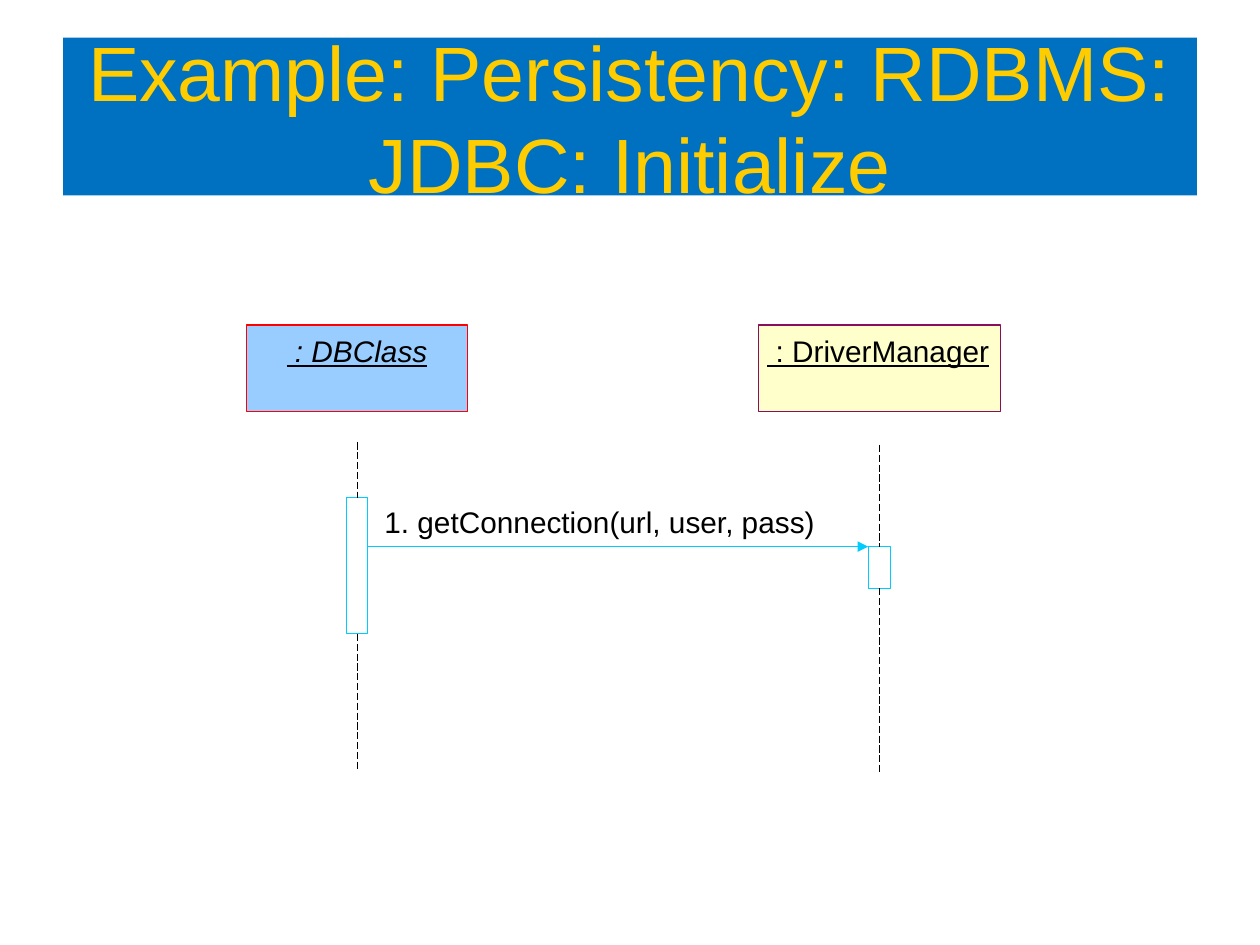
import pptx
import pptx.util
import pptx.dml.color
import pptx.enum.dml
import pptx.enum.shapes
import pptx.enum.text
import pptx.oxml.ns
from lxml import etree

Cm = pptx.util.Cm
Pt = pptx.util.Pt

# Content: participants of the sequence diagram, lengths in cm
TITLE = "Example: Persistency: RDBMS: JDBC: Initialize"
PARTICIPANTS = [
    {"label": " : DBClass", "center": 7.2, "width": 4.45, "label_width": 2.84,
     "fill": "99CCFF", "border": "FF0000", "font": {"italic": True, "underline": True},
     "life": (8.92, 15.54), "bar": (10.03, 2.75, 0.42)},
    {"label": " : DriverManager", "center": 17.73, "width": 4.88, "label_width": 4.52,
     "fill": "FFFFCC", "border": "8A0E5E", "font": {"underline": True},
     "life": (8.97, 15.62), "bar": (11.02, 0.84, 0.46)},
]
MESSAGE = {"text": "1. getConnection(url, user, pass)", "left": 7.75, "top": 10.16,
           "width": 8.71, "y": 11.02}
HEADER_TOP, HEADER_HEIGHT = 6.55, 1.75
LABEL_TOP, LABEL_HEIGHT = 6.71, 0.71

THEME = {
    "font": "Arial", "title_size": 44, "label_size": 17, "line_width": 0.5,
    "title_fill": "0070C0", "title_text": "FFCC00", "text": "000000",
    "lifeline": "000000", "accent": "00CCFF",
}


def rgb(value):
    return pptx.dml.color.RGBColor.from_string(value)


def format_font(font, size, color, **values):
    font.color.rgb = rgb(color)
    for name, value in {"name": THEME["font"], "size": Pt(size), **values}.items():
        setattr(font, name, value)


def add_rectangle(slide, left, top, width, height, border, line_width, fill=None):
    shape = slide.shapes.add_shape(pptx.enum.shapes.MSO_SHAPE.RECTANGLE,
                                   Cm(left), Cm(top), Cm(width), Cm(height))
    shape.shadow.inherit = False
    if fill:
        shape.fill.solid()
        shape.fill.fore_color.rgb = rgb(fill)
    else:
        shape.fill.background()
    shape.line.color.rgb = rgb(border)
    shape.line.width = Pt(line_width)
    return shape


def add_label(slide, text, left, top, width, **font_values):
    box = slide.shapes.add_textbox(Cm(left), Cm(top), Cm(width), Cm(LABEL_HEIGHT))
    frame_values = {"margin_left": 0, "margin_right": 0, "margin_top": 0,
                    "margin_bottom": 0, "word_wrap": False,
                    "auto_size": pptx.enum.text.MSO_AUTO_SIZE.SHAPE_TO_FIT_TEXT}
    for name, value in frame_values.items():
        setattr(box.text_frame, name, value)
    run = box.text_frame.paragraphs[0].add_run()
    run.text = text
    format_font(run.font, THEME["label_size"], THEME["text"], **font_values)


def add_line(slide, start, end, color):
    line = slide.shapes.add_connector(pptx.enum.shapes.MSO_CONNECTOR.STRAIGHT,
                                      *(Cm(value) for value in (*start, *end)))
    line.line.color.rgb = rgb(color)
    line.line.width = Pt(THEME["line_width"])
    etree.SubElement(line._element.spPr, pptx.oxml.ns.qn("a:effectLst"))
    return line


def add_participant(slide, item):
    center, width = item["center"], item["width"]
    # Header box and its label
    add_rectangle(slide, center - width / 2, HEADER_TOP, width, HEADER_HEIGHT,
                  item["border"], 0, item["fill"])
    add_label(slide, item["label"], center - item["label_width"] / 2, LABEL_TOP,
              item["label_width"], **item["font"])
    # Activation bar with the lifeline above and below it
    bar_top, bar_height, bar_width = item["bar"]
    bar = add_rectangle(slide, center - bar_width / 2, bar_top, bar_width, bar_height,
                        THEME["accent"], THEME["line_width"])
    life_top, life_bottom = item["life"]
    above = add_line(slide, (center, life_top), (center, bar_top), THEME["lifeline"])
    above.end_connect(bar, 0)
    below = add_line(slide, (center, bar_top + bar_height), (center, life_bottom),
                     THEME["lifeline"])
    below.begin_connect(bar, 2)
    for line in (above, below):
        line.line.dash_style = pptx.enum.dml.MSO_LINE.LONG_DASH


def add_message(slide, sender, receiver):
    start = sender["center"] + sender["bar"][2] / 2
    end = receiver["center"] - receiver["bar"][2] / 2
    arrow = add_line(slide, (start, MESSAGE["y"]), (end, MESSAGE["y"]), THEME["accent"])
    etree.SubElement(arrow.line._get_or_add_ln(), pptx.oxml.ns.qn("a:tailEnd"),
                     type="triangle")
    add_label(slide, MESSAGE["text"], MESSAGE["left"], MESSAGE["top"], MESSAGE["width"])


def add_title(slide):
    title = slide.shapes.title
    place = {"left": 1.27, "top": 0.76, "width": 22.86, "height": 3.18}
    for name, value in place.items():
        setattr(title, name, Cm(value))
    title.fill.solid()
    title.fill.fore_color.rgb = rgb(THEME["title_fill"])
    title.text_frame.text = TITLE
    title.text_frame.auto_size = pptx.enum.text.MSO_AUTO_SIZE.NONE
    title.text_frame.vertical_anchor = pptx.enum.text.MSO_ANCHOR.MIDDLE
    paragraph = title.text_frame.paragraphs[0]
    paragraph.alignment = pptx.enum.text.PP_ALIGN.CENTER
    format_font(paragraph.runs[0].font, THEME["title_size"], THEME["title_text"])


def main():
    presentation = pptx.Presentation()
    presentation.slide_width, presentation.slide_height = Cm(25.4), Cm(19.05)
    slide = presentation.slides.add_slide(presentation.slide_layouts[5])
    add_title(slide)
    for item in PARTICIPANTS:
        add_participant(slide, item)
    add_message(slide, *PARTICIPANTS)
    presentation.save("out.pptx")


if __name__ == "__main__":
    main()
